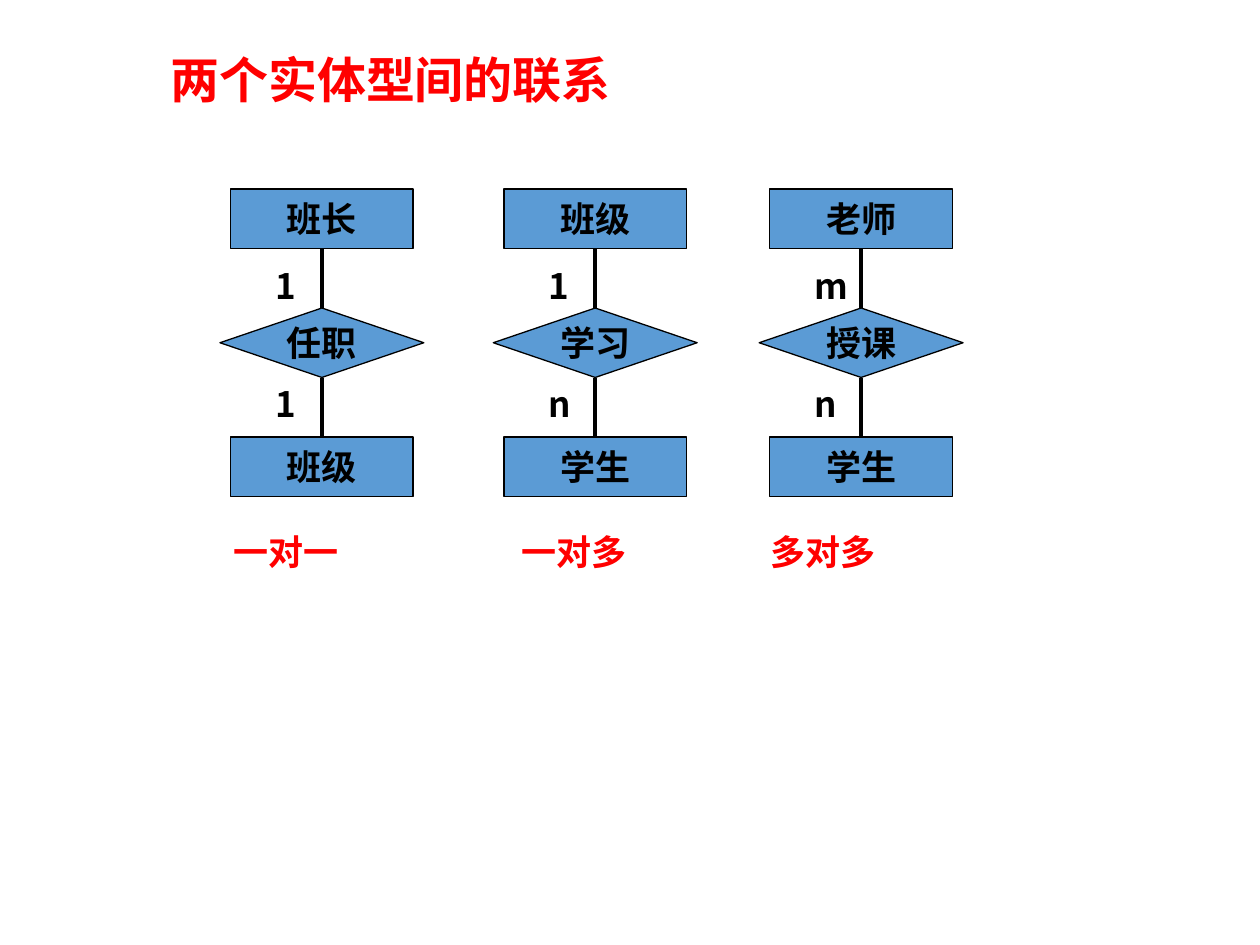
"""Build a slide of three entity-relationship diagrams."""
import pptx
import pptx.dml.color
import pptx.enum.shapes
import pptx.enum.text
import pptx.oxml.ns
import pptx.util
from lxml import etree

Cm = pptx.util.Cm
Pt = pptx.util.Pt
MSO_SHAPE = pptx.enum.shapes.MSO_SHAPE
PP_ALIGN = pptx.enum.text.PP_ALIGN
MSO_ANCHOR = pptx.enum.text.MSO_ANCHOR
MSO_AUTO_SIZE = pptx.enum.text.MSO_AUTO_SIZE
qn = pptx.oxml.ns.qn

BLACK = pptx.dml.color.RGBColor(0x00, 0x00, 0x00)
RED = pptx.dml.color.RGBColor(0xFF, 0x00, 0x00)
BLUE = pptx.dml.color.RGBColor(0x5B, 0x9B, 0xD5)
FONT = "Noto Sans CJK SC"

ENTITY_W, ENTITY_H = 3.68, 1.2
RELATION_W, RELATION_H = 4.11, 1.4
TOP, GAP = 3.81, 1.2
LABEL_H = 1.12
CAPTION_TOP = 10.57

DIAGRAMS = [
    (6.49, "班长", "1", "任职", "1", "班级", 4.45, "一对一"),
    (12.0, "班级", "1", "学习", "n", "学生", 10.26, "一对多"),
    (17.36, "老师", "m", "授课", "n", "学生", 15.29, "多对多"),
]


def add_run(p, text, color=BLACK, size=20):
    """Add one bold run in the slide font."""
    r = p.add_run()
    r.text = text
    r.font.size = Pt(size)
    r.font.bold = True
    r.font.color.rgb = color
    r.font.name = FONT
    etree.SubElement(r.font._element, qn("a:ea"), typeface=FONT)


def add_node(shapes, kind, center, top, w, h, text):
    """Add a filled shape with centred text."""
    sp = shapes.add_shape(kind, Cm(center - w / 2), Cm(top), Cm(w), Cm(h))
    sp.shadow.inherit = False
    sp.fill.solid()
    sp.fill.fore_color.rgb = BLUE
    sp.line.color.rgb = BLACK
    sp.line.width = Pt(0.75)
    tf = sp.text_frame
    tf.word_wrap = False
    tf.vertical_anchor = MSO_ANCHOR.MIDDLE
    p = tf.paragraphs[0]
    p.alignment = PP_ALIGN.CENTER
    add_run(p, text)


def add_link(shapes, x, top):
    """Add a vertical line that spans one gap."""
    line = shapes.add_connector(pptx.enum.shapes.MSO_CONNECTOR.STRAIGHT,
                                Cm(x), Cm(top), Cm(x), Cm(top + GAP))
    line.line.color.rgb = BLACK
    line.line.width = Pt(2.25)
    etree.SubElement(line._element.spPr, qn("a:effectLst"))


def add_label(shapes, left, top, w, text, color=BLACK, wrap=False):
    """Add a text box that grows with its text."""
    sp = shapes.add_textbox(Cm(left), Cm(top), Cm(w), Cm(LABEL_H))
    tf = sp.text_frame
    tf.word_wrap = wrap
    tf.auto_size = MSO_AUTO_SIZE.SHAPE_TO_FIT_TEXT
    add_run(tf.paragraphs[0], text, color)


def add_diagram(s, center, upper, upper_count, relation, lower_count, lower):
    """Add two entities joined by a relation, as one group."""
    shapes = s.shapes.add_group_shape().shapes
    upper_link = TOP + ENTITY_H
    relation_top = upper_link + GAP
    lower_link = relation_top + RELATION_H
    for top, text in ((TOP, upper), (lower_link + GAP, lower)):
        add_node(shapes, MSO_SHAPE.RECTANGLE, center, top, ENTITY_W, ENTITY_H, text)
    add_node(shapes, MSO_SHAPE.DIAMOND, center, relation_top,
             RELATION_W, RELATION_H, relation)
    for link_top, label_top, count in ((upper_link, 5.21, upper_count),
                                       (lower_link, 7.59, lower_count)):
        add_link(shapes, center, link_top)
        width = 1.75 if count == "m" else 1.38
        add_label(shapes, center - 1.19, label_top, width, count)


def set_title(s, text):
    """Place and format the title."""
    sp = s.shapes.title
    sp.left, sp.top, sp.width, sp.height = Cm(3.18), Cm(0.48), Cm(17.37), Cm(2.39)
    tf = sp.text_frame
    tf.auto_size = MSO_AUTO_SIZE.NONE
    tf.vertical_anchor = MSO_ANCHOR.MIDDLE
    p = tf.paragraphs[0]
    p.alignment = PP_ALIGN.LEFT
    p.line_spacing = 0.9
    add_run(p, text, RED, 28)


def main():
    """Build and save the slide."""
    prs = pptx.Presentation()
    prs.slide_width, prs.slide_height = Cm(25.4), Cm(19.05)
    s = prs.slides.add_slide(prs.slide_layouts[5])
    set_title(s, "两个实体型间的联系")
    for *diagram, caption_left, caption in DIAGRAMS:
        add_diagram(s, *diagram)
        add_label(s.shapes, caption_left, CAPTION_TOP, RELATION_W, caption, RED, True)
    prs.save("out.pptx")


main()
